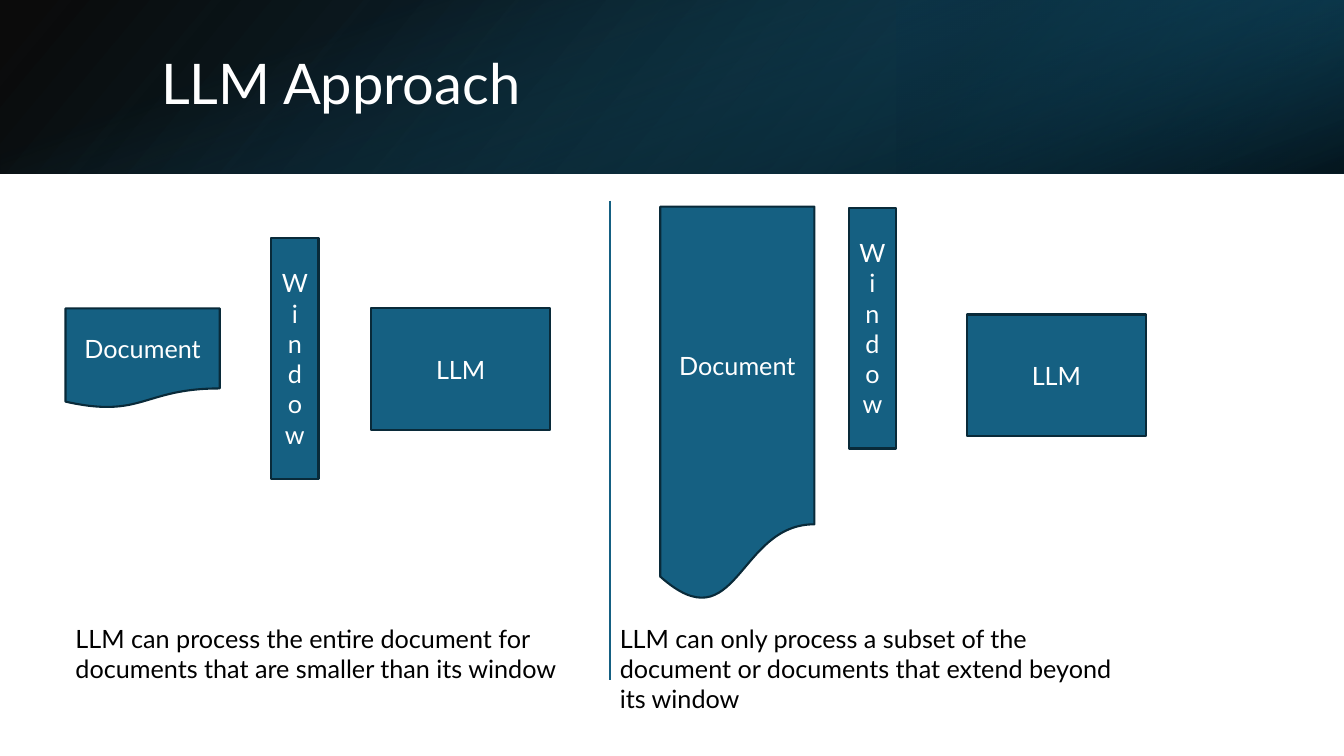
"""Build the LLM approach slide comparing a short and a long document."""
from lxml.etree import SubElement
from pptx import Presentation
from pptx.dml.color import RGBColor
from pptx.enum.shapes import MSO_CONNECTOR, MSO_SHAPE
from pptx.enum.text import MSO_ANCHOR, MSO_AUTO_SIZE, PP_ALIGN
from pptx.oxml.ns import qn
from pptx.util import Inches, Pt

CELL = Inches(0.1)
COLUMNS, ROWS, BAND_ROWS = 133.33, 75, 17.2
TEAL, EDGE, WHITE, BLACK = "156082", "092A39", "FFFFFF", "000000"
FONT = "Lato"

TITLE = ("LLM Approach", (15, 3.8, 109.8, 9.6))
TURNED = ((COLUMNS - BAND_ROWS) / 2, (BAND_ROWS - COLUMNS) / 2, BAND_ROWS, COLUMNS)
BANDS = [
    {"box": (0, 0, COLUMNS, BAND_ROWS), "turn": 0, "flip": True, "angle": 140,
     "stops": [(0, BLACK, 96), (100, "104862", 100)]},
    {"box": (COLUMNS * 2 / 3, 0, COLUMNS / 3, BAND_ROWS), "turn": 180, "flip": True, "angle": 320,
     "stops": [(19, "0B3041", 68), (100, TEAL, 79)]},
    {"box": TURNED, "turn": 90, "flip": False, "angle": 340,
     "stops": [(23, TEAL, 0), (99, BLACK, 74)]},
]
PARTS = {
    "Document": {"preset": MSO_SHAPE.FLOWCHART_DOCUMENT, "width": 15.3, "vert": "horz"},
    "LLM": {"preset": MSO_SHAPE.RECTANGLE, "width": 17.8, "vert": "horz"},
    "Window": {"preset": MSO_SHAPE.RECTANGLE, "width": 4.7, "vert": "wordArtVert"},
}
PANELS = [
    {"parts": [("Document", 6.5, 30.6, 9.9), ("LLM", 36.8, 30.6, 12.1), ("Window", 26.9, 23.6, 23.9)],
     "caption": "LLM can process the entire document for documents that are smaller than its window",
     "caption_box": (6.5, 61.3, 54.1, 7.1)},
    {"parts": [("Document", 65.5, 20.5, 39.3), ("LLM", 95.9, 31.2, 12.1), ("Window", 84.2, 20.6, 23.9)],
     "caption": "LLM can only process a subset of the document or documents that extend beyond its window",
     "caption_box": (60.5, 61.3, 53.1, 10.1)},
]
DIVIDER = (60.5, 19.9, 60.5, 67.5)


def cells(box):
    return [round(value * CELL) for value in box]


def colour(value):
    return RGBColor.from_string(value)


def write(frame, text, size, ink, align, anchor):
    for name, value in {"text": text, "word_wrap": True, "vertical_anchor": anchor}.items():
        setattr(frame, name, value)
    paragraph = frame.paragraphs[0]
    paragraph.alignment = align
    font = paragraph.runs[0].font
    for name, value in {"name": FONT, "size": Pt(size)}.items():
        setattr(font, name, value)
    font.color.rgb = colour(ink)
    return paragraph


def add_band(slide, box, turn, flip, angle, stops):
    band = slide.shapes.add_shape(MSO_SHAPE.RECTANGLE, *cells(box))
    band.shadow.inherit = False
    band.line.fill.background()
    band.rotation = turn
    band.fill.gradient()
    gradient = band.element.spPr.find(qn("a:gradFill"))
    gradient.set("rotWithShape", "1")
    for child in list(gradient):
        gradient.remove(child)
    stop_list = SubElement(gradient, qn("a:gsLst"))
    for position, tint, opacity in stops:
        stop = SubElement(stop_list, qn("a:gs"), pos=str(position * 1000))
        tone = SubElement(stop, qn("a:srgbClr"), val=tint)
        SubElement(tone, qn("a:alpha"), val=str(opacity * 1000))
    SubElement(gradient, qn("a:lin"), ang=str(angle * 60000), scaled="0")
    if flip:
        band.element.spPr.find(qn("a:xfrm")).set("flipH", "1")


def add_part(slide, label, left, top, height):
    kind = PARTS[label]
    part = slide.shapes.add_shape(kind["preset"], *cells((left, top, kind["width"], height)))
    part.shadow.inherit = False
    part.fill.solid()
    part.fill.fore_color.rgb = colour(TEAL)
    part.line.color.rgb = colour(EDGE)
    part.line.width = Pt(1.5)
    write(part.text_frame, label, 18, WHITE, PP_ALIGN.CENTER, MSO_ANCHOR.MIDDLE)
    part.element.txBody.find(qn("a:bodyPr")).set("vert", kind["vert"])


def main():
    deck = Presentation()
    deck.slide_width, deck.slide_height = cells((COLUMNS, ROWS))
    slide = deck.slides.add_slide(deck.slide_layouts[5])

    for band in BANDS:
        add_band(slide, **band)

    heading = slide.shapes.title
    heading_text, heading_box = TITLE
    for name, value in zip(("left", "top", "width", "height"), cells(heading_box)):
        setattr(heading, name, value)
    write(heading.text_frame, heading_text, 40, WHITE, PP_ALIGN.LEFT, MSO_ANCHOR.MIDDLE).line_spacing = 0.9
    heading.element.getparent().append(heading.element)

    for panel in PANELS:
        for part in panel["parts"]:
            add_part(slide, *part)

    divider = slide.shapes.add_connector(MSO_CONNECTOR.STRAIGHT, *cells(DIVIDER))
    divider.line.color.rgb = colour(TEAL)
    divider.line.width = Pt(1.5)
    SubElement(divider.element.spPr, qn("a:effectLst"))

    for panel in PANELS:
        caption = slide.shapes.add_textbox(*cells(panel["caption_box"]))
        write(caption.text_frame, panel["caption"], 18, BLACK, PP_ALIGN.LEFT, MSO_ANCHOR.TOP)
        caption.text_frame.auto_size = MSO_AUTO_SIZE.SHAPE_TO_FIT_TEXT

    deck.save("out.pptx")


if __name__ == "__main__":
    main()
